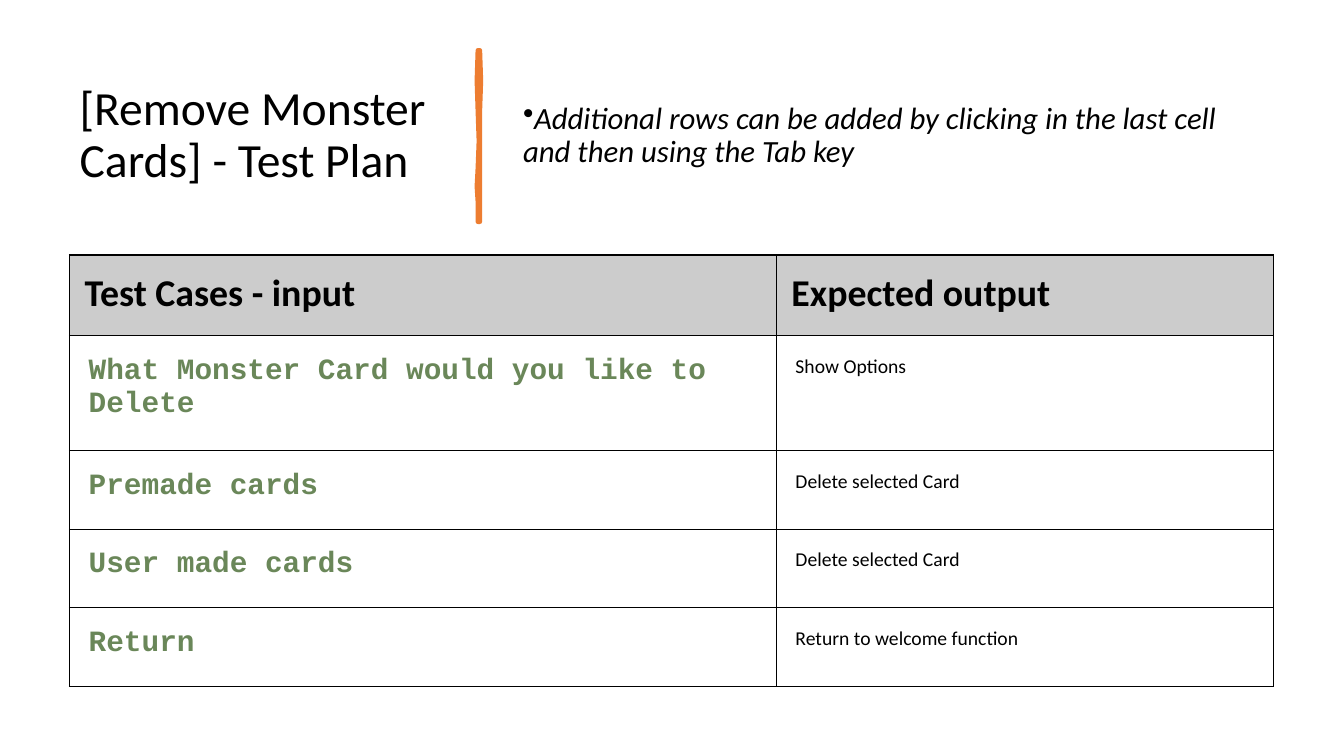
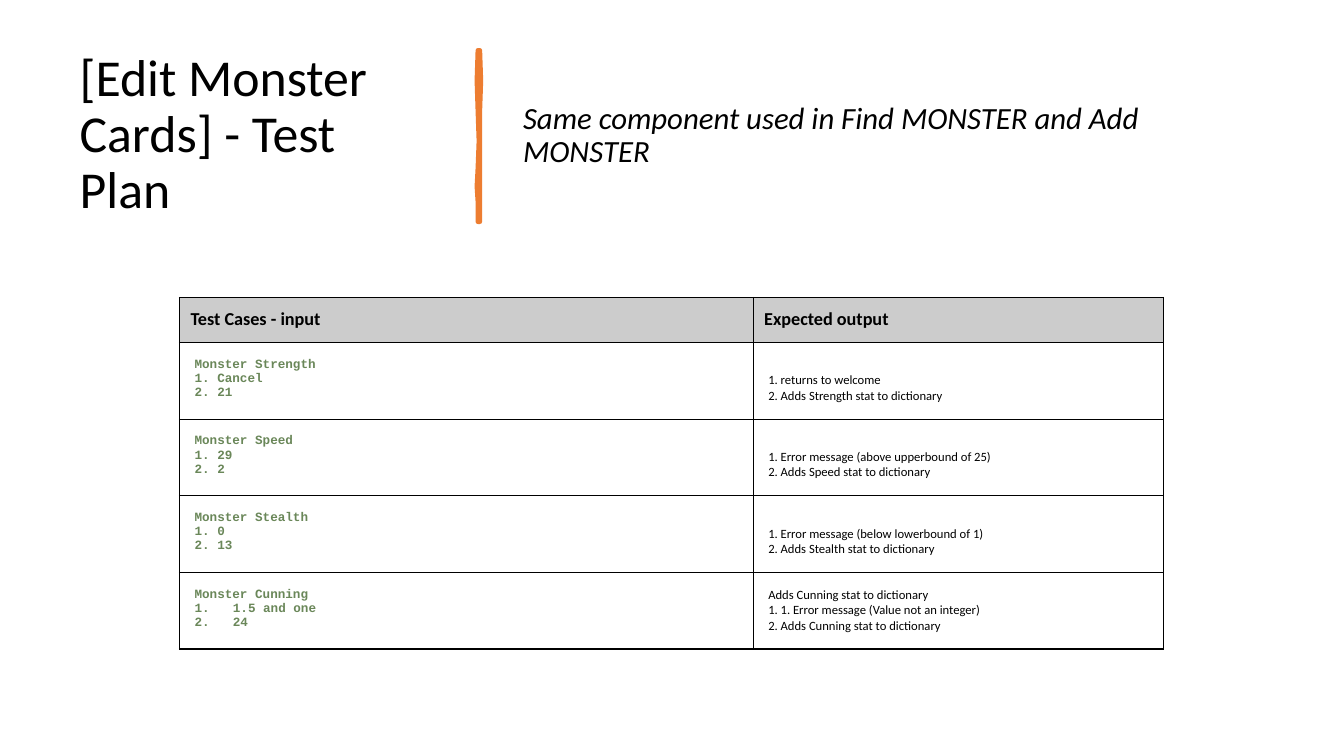
from lxml import etree
from pptx import Presentation
from pptx import util as u
from pptx.dml.color import RGBColor
from pptx.enum import text
from pptx.oxml.ns import qn

PX = 9144
SANS, MONO = "Calibri", "Courier New"
BLACK, ORANGE, GREY, GREEN = "000000", "ED7D31", "CCCCCC", "6A8759"
STROKE = [(476, 50), (477, 80), (476, 110), (476, 168), (476, 220),
          (474, 220), (474, 200), (473, 185), (474, 167), (475, 140),
          (474, 110), (473, 80), (474, 50)]


def px(n):
    return u.Emu(n * PX)


def rgb(value):
    return RGBColor.from_string(value)


def place(sp, left, top, width, height):
    sp.left, sp.top, sp.width, sp.height = map(px, (left, top, width, height))


def format_runs(tf, size, font=SANS, color=BLACK, bold=False, italic=False):
    for p in tf.paragraphs:
        for r in p.runs:
            f = r.font
            f.size, f.name, f.bold, f.italic = u.Pt(size), font, bold, italic
            f.color.rgb = rgb(color)


def add_bullet(p, tag, margin, indent, **attributes):
    pPr = p._p.get_or_add_pPr()
    pPr.set("marL", str(px(margin)))
    pPr.set("indent", str(px(indent)))
    etree.SubElement(pPr, qn(tag), **attributes)


def set_heading_frame(tf, content):
    tf.text = content
    tf.word_wrap = True
    tf.auto_size = text.MSO_AUTO_SIZE.NONE
    tf.vertical_anchor = text.MSO_ANCHOR.MIDDLE
    p = tf.paragraphs[0]
    p.alignment = text.PP_ALIGN.LEFT
    p.line_spacing = 0.9
    return p


def add_title(s, content, size):
    sp = s.shapes.title
    place(sp, 69, 55, 374, 160)
    set_heading_frame(sp.text_frame, content)
    format_runs(sp.text_frame, size)


def add_stroke(s):
    builder = s.shapes.build_freeform(*STROKE[0], scale=PX)
    builder.add_line_segments(STROKE[1:], close=True)
    sp = builder.convert_to_shape()
    sp.shadow.inherit = False
    sp.fill.solid()
    sp.fill.fore_color.rgb = rgb(ORANGE)
    sp.line.color.rgb = rgb(ORANGE)
    sp.line.width = u.Pt(3.25)
    etree.SubElement(sp.line._get_or_add_ln(), qn("a:round"))


def add_note(s, content, bulleted):
    tf = s.shapes.add_textbox(px(509), px(55), px(754), px(160)).text_frame
    p = set_heading_frame(tf, content)
    p.space_after = u.Pt(6)
    if bulleted:
        add_bullet(p, "a:buChar", 0, -25, char="•")
    format_runs(tf, 22, italic=True)


def add_borders(cell):
    tcPr = cell._tc.get_or_add_tcPr()
    for side in "LRTB":
        ln = etree.SubElement(tcPr, qn("a:ln" + side), w=str(u.Pt(1)))
        fill = etree.SubElement(ln, qn("a:solidFill"))
        etree.SubElement(fill, qn("a:srgbClr"), val=BLACK)


def fill_cell(cell, content, margin, fill=None, **font):
    add_borders(cell)
    cell.margin_left = cell.margin_right = px(margin)
    cell.margin_top = cell.margin_bottom = px(margin)
    if fill:
        cell.fill.solid()
        cell.fill.fore_color.rgb = rgb(fill)
    else:
        cell.fill.background()
    cell.text_frame.text = content
    format_runs(cell.text_frame, **font)


def add_test_table(s, left, top, widths, heights, cases, sizes, margins):
    head_size, input_size, output_size = sizes
    head_margin, body_margin = margins
    table = s.shapes.add_table(len(heights), len(widths), px(left), px(top),
                               px(sum(widths)), px(sum(heights))).table
    table.first_row = table.horz_banding = False
    for column, width in zip(table.columns, widths):
        column.width = px(width)
    for row, height in zip(table.rows, heights):
        row.height = px(height)
    for col, label in enumerate(("Test Cases - input", "Expected output")):
        fill_cell(table.cell(0, col), label, head_margin, GREY,
                  size=head_size, bold=True)
    for row, (given, expected) in enumerate(cases, 1):
        fill_cell(table.cell(row, 0), given, body_margin,
                  size=input_size, font=MONO, color=GREEN, bold=True)
        fill_cell(table.cell(row, 1), expected, body_margin, size=output_size)
    return table


def add_plan_slide(prs, title, title_size, note, bulleted=False):
    s = prs.slides.add_slide(prs.slide_layouts[5])
    add_title(s, title, title_size)
    add_stroke(s)
    add_note(s, note, bulleted)
    return s


def add_remove_plan(prs):
    s = add_plan_slide(
        prs, "[Remove Monster Cards] - Test Plan", 34,
        "Additional rows can be added by clicking in the last cell and then "
        "using the Tab key", bulleted=True)
    cases = [
        ("What Monster Card would you like to Delete", "Show Options"),
        ("Premade cards", "Delete selected Card"),
        ("User made cards", "Delete selected Card"),
        ("Return", "Return to welcome function"),
    ]
    add_test_table(s, 69, 253, (701, 493), (80, 114, 78, 78, 78), cases,
                   sizes=(27, 21, 14), margins=(15, 19))


def add_edit_plan(prs):
    s = add_plan_slide(prs, "[Edit Monster Cards] - Test Plan", 37,
                       "Same component used in Find MONSTER and Add MONSTER")
    cases = [
        ("Monster Strength\n1. Cancel\n2. 21",
         "1. returns to welcome\n2. Adds Strength stat to dictionary"),
        ("Monster Speed\n1. 29\n2. 2",
         "1. Error message (above upperbound of 25)\n"
         "2. Adds Speed stat to dictionary"),
        ("Monster Stealth\n1. 0\n2. 13",
         "1. Error message (below lowerbound of 1)\n"
         "2. Adds Stealth stat to dictionary"),
        ("Monster Cunning\n1.5 and one\n24",
         "Adds Cunning stat to dictionary\n"
         "1. 1. Error message (Value not an integer)\n"
         "2. Adds Cunning stat to dictionary"),
    ]
    table = add_test_table(s, 178, 295, (569, 407), (45, 76, 76, 76, 76),
                           cases, sizes=(13, 9, 9), margins=(11, 15))
    for row in (1, 2, 3):
        table.cell(row, 1).margin_top = px(30)
    for p in table.cell(4, 0).text_frame.paragraphs[1:]:
        add_bullet(p, "a:buAutoNum", 38, -38, type="arabicPeriod")


def main():
    prs = Presentation()
    prs.slide_width, prs.slide_height = px(1333), px(750)
    add_remove_plan(prs)
    add_edit_plan(prs)
    prs.save("out.pptx")


if __name__ == "__main__":
    main()
